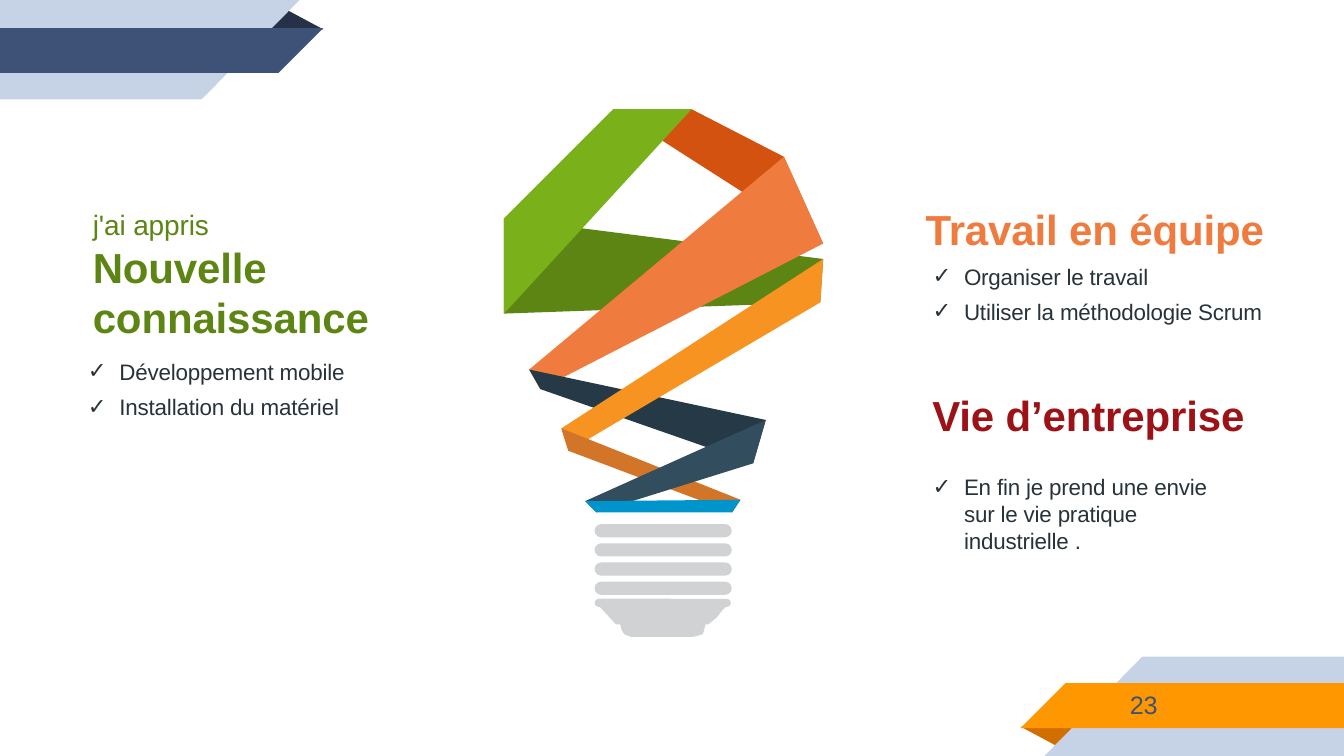
from dataclasses import dataclass

from lxml import etree
from pptx import Presentation
from pptx.dml.color import RGBColor
from pptx.enum.shapes import MSO_SHAPE
from pptx.enum.text import MSO_ANCHOR, MSO_AUTO_SIZE, PP_ALIGN
from pptx.oxml.ns import qn
from pptx.util import Pt

ROUND = MSO_SHAPE.ROUNDED_RECTANGLE
TOP = MSO_ANCHOR.TOP
FIXED = MSO_AUTO_SIZE.NONE
LEFT = PP_ALIGN.LEFT
WIDE, HIGH = 960, 540


@dataclass(frozen=True)
class Theme:
    font: str = "Arial"
    head: int = 30
    lead: int = 20
    item: int = 16
    page: int = 18
    ink: str = "273339"
    navy: str = "3E5278"
    night: str = "253147"
    pale: str = "C6D2E6"
    amber: str = "FF9700"
    rust: str = "D26E00"
    gray: str = "D1D2D3"
    moss: str = "5C8513"
    leaf: str = "7AB11B"
    coral: str = "F07B3E"
    brick: str = "D4520F"
    slate: str = "253946"
    steel: str = "314D5E"
    gold: str = "F79320"
    ochre: str = "D27528"
    sky: str = "0094CD"
    wine: str = "9D1217"


THEME = Theme()

FOLD = [(770.4, 519.4), (729.4, 519.4), (757.4, 533.5)]
BACK = [(WIDE, 469.4), (816.5, 469.4), (746, HIGH), (WIDE, HIGH)]
BAND = [(WIDE, 487.6), (761, 487.6), (729.4, 519.6), (WIDE, 519.6)]

KNOTS = {
    "A": (494, 78.5), "B": (438, 78.5), "C": (588.2, 173.5),
    "D": (560.2, 112), "E": (360, 156.5), "F": (360, 223.5),
    "G": (586, 216), "H": (588.2, 185), "I": (378, 263.5),
    "J": (386, 278), "K": (538, 331), "L": (547.4, 299.5),
    "M": (401, 306), "N": (405.5, 322), "O": (523, 365.8),
    "P": (529.4, 356.8), "Q": (418.3, 357.8), "R": (426.3, 365.8),
}
STRIPS = [
    ("ABCD", THEME.brick), ("EFGH", THEME.moss), ("DIJC", THEME.coral),
    ("IJKL", THEME.slate), ("HMNG", THEME.gold), ("MNOP", THEME.ochre),
    ("ABEF", THEME.leaf), ("LQRK", THEME.steel), ("PQRO", THEME.sky),
]
FOOT = [
    (519, 432.7), (428, 432.7), (440, 446.4), (442.8, 446.4),
    (443.5, 450), (445.7, 453), (448, 454.3), (451.4, 455),
    (495.4, 455), (499, 454.3), (501.8, 453), (503.3, 450),
    (504, 446.4), (506.2, 446.4), (512, 440.6), (516.2, 436.3),
]


def paint(shape, color):
    shape.fill.solid()
    shape.fill.fore_color.rgb = RGBColor.from_string(color)
    shape.line.fill.background()
    shape.shadow.inherit = False


def patch(shapes, dots, color):
    pen = shapes.build_freeform(*dots[0], scale=Pt(1))
    pen.add_line_segments(dots[1:], close=True)
    paint(pen.convert_to_shape(), color)


def bar(shapes, left, top, width, height):
    shape = shapes.add_shape(ROUND, Pt(left), Pt(top), Pt(width), Pt(height))
    shape.adjustments[0] = 0.5
    paint(shape, THEME.gray)


def corner(shapes, colors, turn=False):
    for dots, color in zip((FOLD, BACK, BAND), colors):
        if turn:
            dots = [(WIDE - x, HIGH - y) for x, y in dots]
        patch(shapes, dots, color)


def bulb(shapes):
    patch(shapes, FOOT, THEME.gray)
    for row in range(4):
        bar(shapes, 424.7, 374.4 + 13.7 * row, 98, 9.4)
    bar(shapes, 424.8, 427.7, 97.2, 5.8)
    group = shapes.add_group_shape()
    for knots, color in STRIPS:
        patch(group.shapes, [KNOTS[k] for k in knots], color)


def place(shape, left, top, width, height):
    shape.left, shape.top = Pt(left), Pt(top)
    shape.width, shape.height = Pt(width), Pt(height)
    frame = shape.text_frame
    frame.word_wrap = True
    frame.auto_size = FIXED
    frame.vertical_anchor = TOP
    frame.margin_left = frame.margin_right = 0
    frame.margin_top = frame.margin_bottom = 0
    return frame


def line(frame, before=0, left=0, hang=0, right=0, mark=None):
    para = frame.paragraphs[0]
    if para.runs:
        para = frame.add_paragraph()
    para.alignment = LEFT
    para.line_spacing = 1.0
    para.space_before = Pt(before)
    para.space_after = Pt(0)
    props = para._p.get_or_add_pPr()
    props.set("marL", str(Pt(left)))
    props.set("marR", str(Pt(right)))
    props.set("indent", str(Pt(-hang)))
    if mark:
        etree.SubElement(props, qn("a:buChar")).set("char", mark)
    else:
        etree.SubElement(props, qn("a:buNone"))
    return para


def write(para, text, size=THEME.item, color=THEME.ink, bold=False):
    run = para.add_run()
    run.text = text
    run.font.name = THEME.font
    run.font.size = Pt(size)
    run.font.bold = bold
    run.font.color.rgb = RGBColor.from_string(color)
    run._r.get_or_add_rPr().set("spc", "-10")


def item(frame, text, before=6, right=0):
    para = line(frame, before, 23.3, 22.5, right, "✓")
    write(para, text)


def main():
    deck = Presentation()
    deck.slide_width, deck.slide_height = Pt(WIDE), Pt(HIGH)
    slide = deck.slides.add_slide(deck.slide_layouts[4])
    shapes = slide.shapes
    holds = {hold.placeholder_format.idx: hold for hold in slide.placeholders}
    holds[4].element.getparent().remove(holds[4].element)

    corner(shapes, (THEME.rust, THEME.pale, THEME.amber))
    corner(shapes, (THEME.night, THEME.pale, THEME.navy), turn=True)
    bulb(shapes)

    title = place(holds[0], 660.2, 145.5, 250, 38)
    write(line(title, left=1), "Travail en équipe", size=THEME.head,
          color=THEME.coral, bold=True)

    skills = place(holds[1], 62, 148.3, 230, 157)
    para = line(skills, left=4.3, right=20)
    write(para, "j'ai appris ", size=THEME.lead, color=THEME.moss)
    write(para, "Nouvelle connaissance", size=THEME.head, color=THEME.moss,
          bold=True)
    item(skills, "Développement mobile", before=11.2)
    item(skills, "Installation du matériel")

    team = place(holds[2], 665.3, 187.6, 246, 52)
    item(team, "Organiser le travail", before=0)
    item(team, "Utiliser la méthodologie Scrum")

    firm = place(holds[3], 665.3, 278.3, 230, 118)
    write(line(firm, left=0.7), "Vie d’entreprise", size=THEME.head,
          color=THEME.wine, bold=True)
    item(firm, "En fin je prend une envie sur le vie pratique industrielle .",
         before=23.9, right=18)

    page = place(shapes.add_textbox(0, 0, 0, 0), 804.2, 492.5, 30, 22.3)
    write(line(page, left=2.9), "23", size=THEME.page, color=THEME.navy)

    deck.save("out.pptx")


if __name__ == "__main__":
    main()
